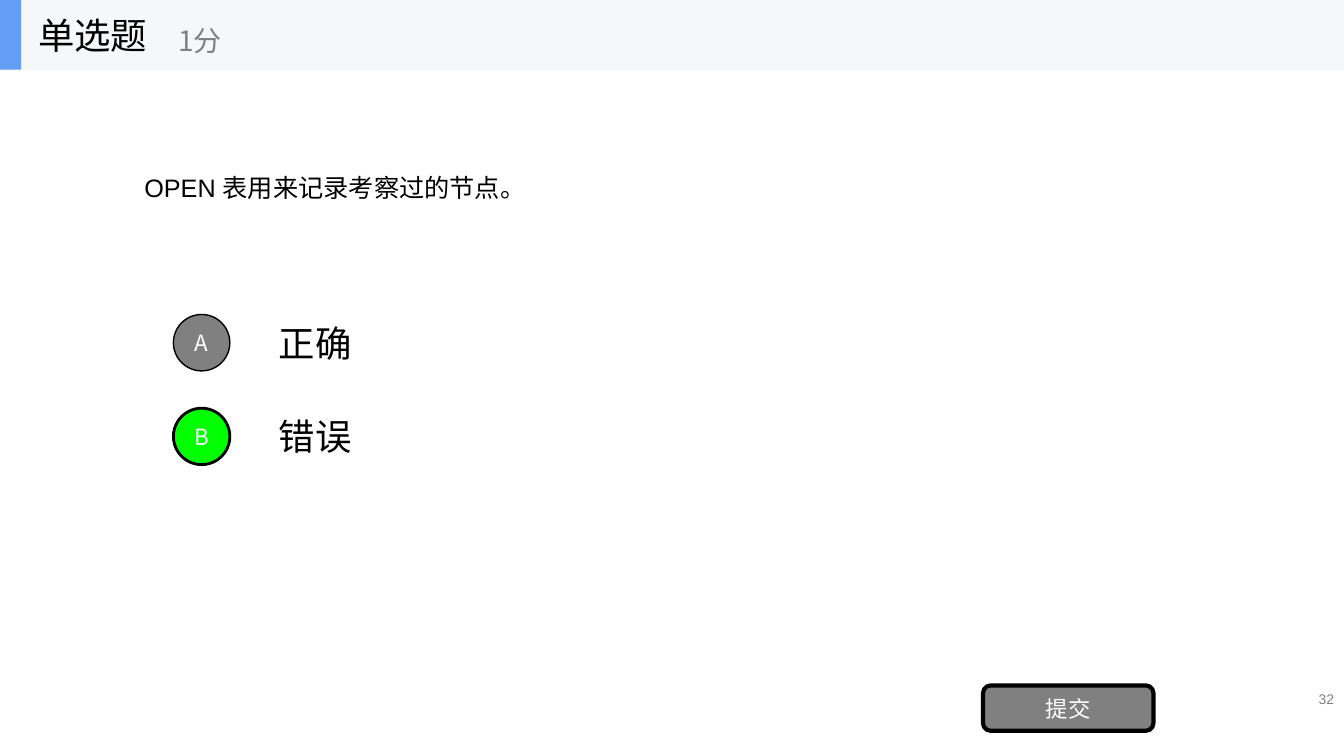
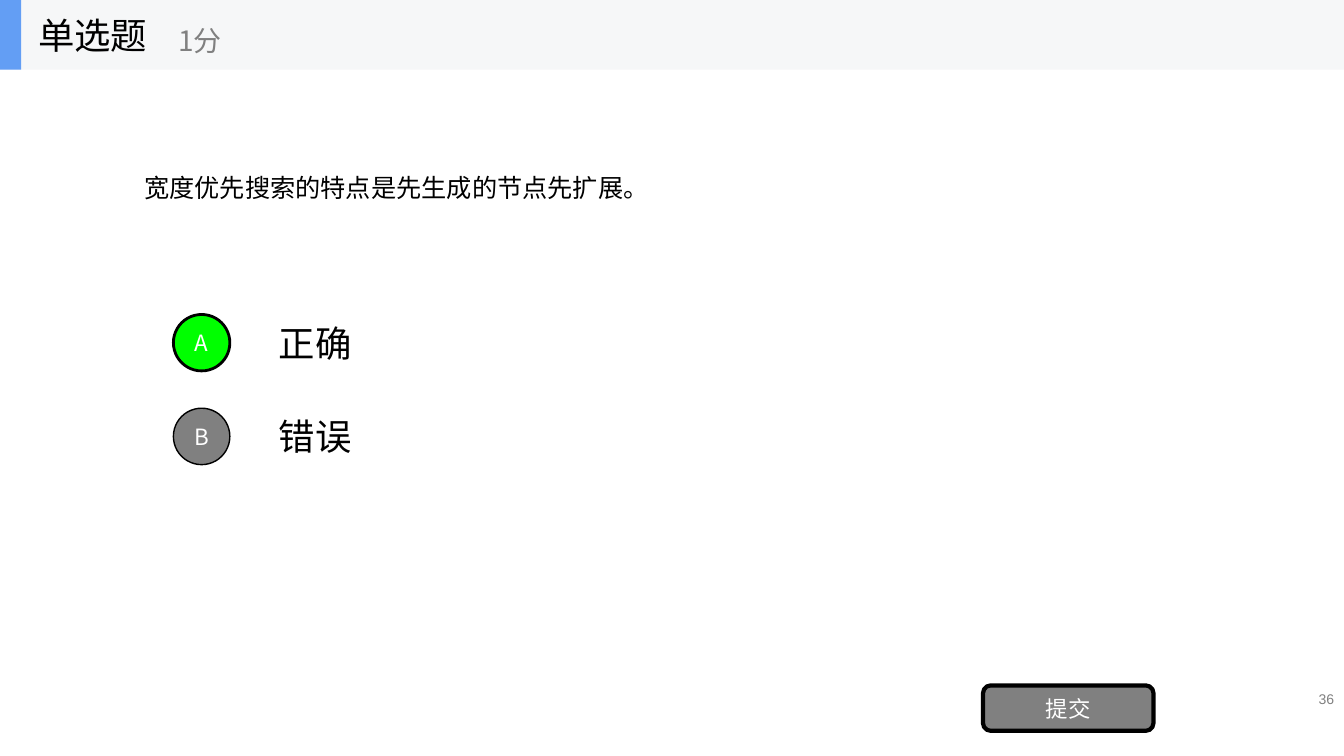
"""Build two single-choice quiz slides that share a header band, options and a submit button."""
from dataclasses import dataclass

from lxml.etree import SubElement
from pptx import Presentation
from pptx.dml.color import RGBColor
from pptx.enum.shapes import MSO_SHAPE as Preset
from pptx.enum.text import MSO_ANCHOR as Anchor, PP_ALIGN as Align
from pptx.oxml.ns import qn
from pptx.util import Inches, Pt

QUESTIONS = [
    {"number": "32", "text": "OPEN 表用来记录考察过的节点。", "answer": "B"},
    {"number": "36", "text": "宽度优先搜索的特点是先生成的节点先扩展。", "answer": "A"},
]
OPTIONS = [("A", "正确"), ("B", "错误")]
HEADING, SCORE, SUBMIT = "单选题", "1分", "提交"


@dataclass(frozen=True)
class Theme:
    """Colours, fonts and type sizes of the quiz."""
    black: str = "000000"
    white: str = "FFFFFF"
    grey: str = "808080"
    correct: str = "00FF00"
    band: str = "F6F7F8"
    accent: str = "639EF4"
    latin: str = "Arial"
    chinese: str = "Noto Sans CJK SC"
    title: int = 26
    score: int = 20
    question: int = 18
    button: int = 16
    number: int = 10


THEME = Theme()
WIDTH, HEIGHT = 13.33, 7.5
BAND_HEIGHT = 0.69
MARGIN = WIDTH / 10
COLUMN = WIDTH / 5
OPTION_TOP, OPTION_PITCH, OPTION_HEIGHT = 3.05, 0.93, 0.7
CIRCLE = OPTION_HEIGHT * 0.8
CIRCLE_LEFT = 1.72


def write(shape, text, size, color, font=THEME.chinese, align=Align.LEFT):
    """Put one styled run in a shape, centred vertically."""
    frame = shape.text_frame
    frame.word_wrap = True
    frame.vertical_anchor = Anchor.MIDDLE
    paragraph = frame.paragraphs[0]
    paragraph.alignment = align
    run = paragraph.add_run()
    run.text = text
    run.font.size = Pt(size)
    run.font.color.rgb = RGBColor.from_string(color)
    run.font.name = font
    SubElement(run.font._element, qn("a:ea"), typeface=THEME.chinese)


def add_text(shapes, box, *style, **options):
    """Add a text box."""
    write(shapes.add_textbox(*map(Inches, box)), *style, **options)


def add_block(shapes, preset, box, fill, line=0, label=""):
    """Add a filled shape, with an outline and a centred label if given."""
    shape = shapes.add_shape(preset, *map(Inches, box))
    shape.shadow.inherit = False
    shape.fill.solid()
    shape.fill.fore_color.rgb = RGBColor.from_string(fill)
    if line:
        shape.line.color.rgb = RGBColor.from_string(THEME.black)
        shape.line.width = Pt(line)
    else:
        shape.line.fill.background()
    if label:
        frame = shape.text_frame
        frame.margin_left = frame.margin_right = frame.margin_top = frame.margin_bottom = 0
        write(shape, label, THEME.button, THEME.white, align=Align.CENTER)


def add_header(slide):
    """Add the grouped title band."""
    shapes = slide.shapes.add_group_shape().shapes
    add_block(shapes, Preset.RECTANGLE, (0, 0, WIDTH, BAND_HEIGHT), THEME.band)
    add_block(shapes, Preset.RECTANGLE, (0, 0, 0.21, BAND_HEIGHT), THEME.accent)
    add_text(shapes, (0.28, 0, 2.08, BAND_HEIGHT), HEADING, THEME.title, THEME.black)
    add_text(shapes, (1.67, 0.12, 2.5, 0.56), SCORE, THEME.score, THEME.grey)


def add_option(shapes, row, letter, text, is_correct):
    """Add one answer with its lettered circle."""
    top = OPTION_TOP + row * OPTION_PITCH
    add_text(shapes, (COLUMN, top, WIDTH - COLUMN - MARGIN, OPTION_HEIGHT),
             text, THEME.title, THEME.black)
    circle_top = top + (OPTION_HEIGHT - CIRCLE) / 2
    fill, line = (THEME.correct, 2) if is_correct else (THEME.grey, 1)
    add_block(shapes, Preset.OVAL, (CIRCLE_LEFT, circle_top, CIRCLE, CIRCLE), fill, line, letter)


def add_question(presentation, question):
    """Add one quiz slide."""
    slide = presentation.slides.add_slide(presentation.slide_layouts[6])
    shapes = slide.shapes
    add_text(shapes, (10.15, 6.82, WIDTH - 10.15, 0.23), question["number"],
             THEME.number, THEME.grey, font=THEME.latin, align=Align.RIGHT)
    add_text(shapes, (MARGIN, BAND_HEIGHT, WIDTH - 2 * MARGIN, 2.34), question["text"],
             THEME.question, THEME.black, font=THEME.latin)
    for row, (letter, text) in enumerate(OPTIONS):
        add_option(shapes, row, letter, text, letter == question["answer"])
    add_block(shapes, Preset.ROUNDED_RECTANGLE, (9.75, 6.8, 1.69, 0.45), THEME.grey, 3, SUBMIT)
    add_header(slide)


def main():
    """Build and save the presentation."""
    presentation = Presentation()
    presentation.slide_width, presentation.slide_height = Inches(WIDTH), Inches(HEIGHT)
    for question in QUESTIONS:
        add_question(presentation, question)
    presentation.save("out.pptx")


if __name__ == "__main__":
    main()
